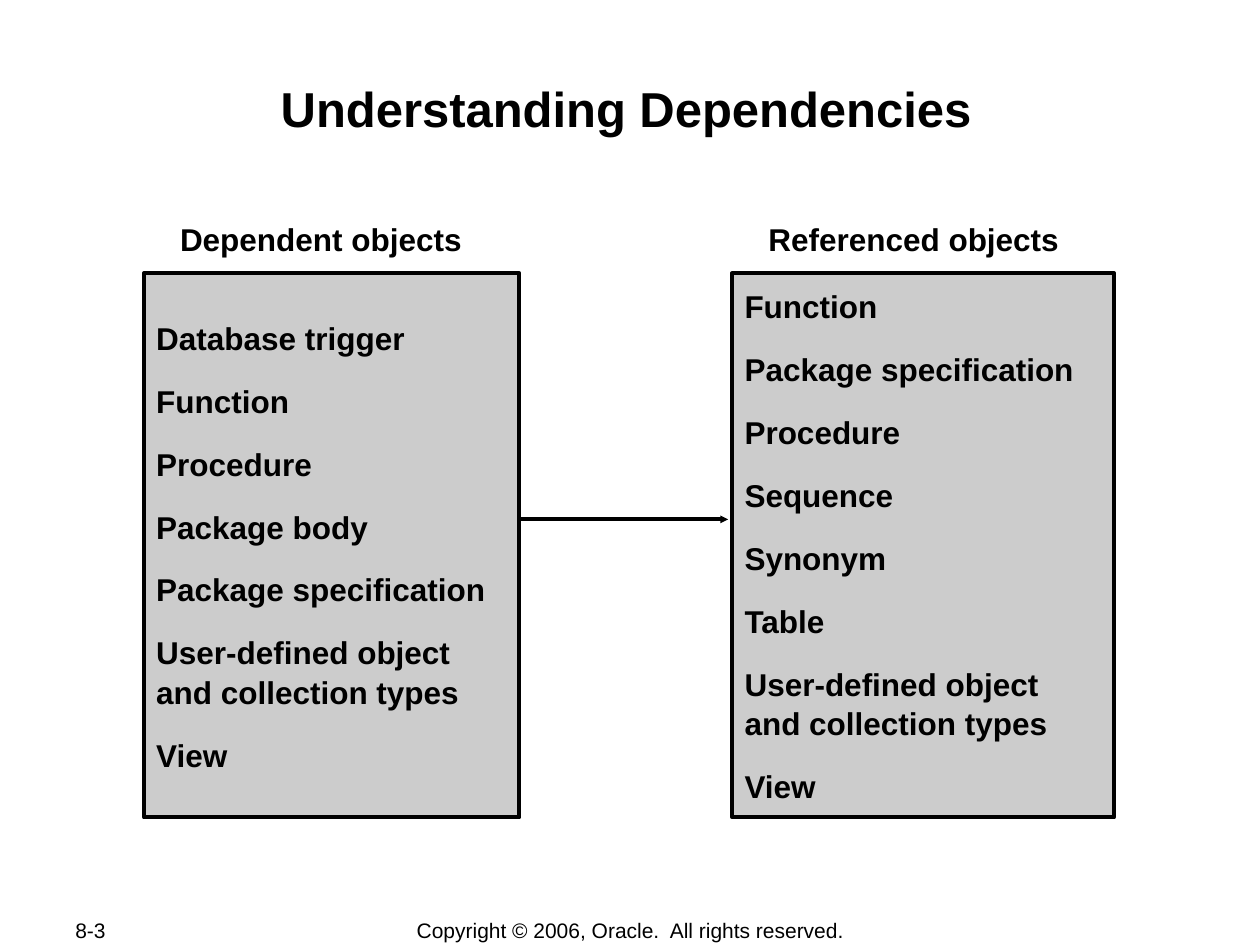
from lxml.etree import SubElement
from pptx import Presentation
from pptx.dml.color import RGBColor
from pptx.enum.shapes import MSO_CONNECTOR, MSO_SHAPE
from pptx.enum.text import MSO_ANCHOR, PP_ALIGN
from pptx.oxml.ns import qn
from pptx.util import Cm, Pt

BLACK, GREY = "000000", "CCCCCC"
PANEL_TOP, PANEL_HEIGHT = 5.51, 10.97
DEPENDENT = ["Database trigger", "Function", "Procedure", "Package body",
             "Package specification",
             "User-defined object\vand collection types", "View"]
REFERENCED = ["Function", "Package specification", "Procedure", "Sequence",
              "Synonym", "Table",
              "User-defined object\vand collection types", "View"]


def rgb(value):
    return RGBColor.from_string(value)


def write(sp, lines, size, bold=True, align=PP_ALIGN.LEFT,
          anchor=MSO_ANCHOR.TOP, gap=0, spacing=1.0):
    tf = sp.text_frame
    tf.word_wrap = True
    tf.vertical_anchor = anchor
    for i, line in enumerate(lines):
        p = tf.add_paragraph() if i else tf.paragraphs[0]
        p.text = line
        p.alignment = align
        p.line_spacing = spacing
        p.space_before = Pt(gap if i else 0)
        p.font.name = "Arial"
        p.font.size = Pt(size)
        p.font.bold = bold
        p.font.color.rgb = rgb(BLACK)


def add_text(s, box, text, size, **style):
    sp = s.shapes.add_textbox(*map(Cm, box))
    write(sp, [text], size, **style)


def add_panel(s, box, heading, items):
    """Draw a filled list box with its heading just above it."""
    left, top, width, height = box
    indent = 0.48
    add_text(s, (left + indent, top - 1.19, width - indent, 1.02), heading, 18)
    sp = s.shapes.add_shape(MSO_SHAPE.RECTANGLE, *map(Cm, box))
    sp.shadow.inherit = False
    sp.fill.solid()
    sp.fill.fore_color.rgb = rgb(GREY)
    sp.line.color.rgb = rgb(BLACK)
    sp.line.width = Pt(2.25)
    write(sp, items, 18, anchor=MSO_ANCHOR.MIDDLE, gap=13.5, spacing=1.04)


def add_arrow(s, x1, x2, y):
    line = s.shapes.add_connector(MSO_CONNECTOR.STRAIGHT,
                                  Cm(x1), Cm(y), Cm(x2), Cm(y))
    line.line.color.rgb = rgb(BLACK)
    line.line.width = Pt(2.25)
    SubElement(line.line._get_or_add_ln(), qn("a:tailEnd"),
               type="triangle", w="sm", len="sm")
    SubElement(line._element.spPr, qn("a:effectLst"))


def add_footer(s, top, height):
    style = dict(bold=False, anchor=MSO_ANCHOR.MIDDLE)
    add_text(s, (1.27, top, 2.69, height), "8-3", 12, **style)
    add_text(s, (7.01, top, 11.4, height),
             "Copyright © 2006, Oracle.  All rights reserved.", 12,
             align=PP_ALIGN.CENTER, **style)


def main():
    prs = Presentation()
    prs.slide_width, prs.slide_height = Cm(25.4), Cm(19.05)
    s = prs.slides.add_slide(prs.slide_layouts[6])
    add_text(s, (2.46, 1.45, 20.32, 2.44), "Understanding Dependencies", 28,
             align=PP_ALIGN.CENTER)
    add_panel(s, (2.9, PANEL_TOP, 7.57, PANEL_HEIGHT),
              "Dependent objects", DEPENDENT)
    add_panel(s, (14.76, PANEL_TOP, 7.7, PANEL_HEIGHT),
              "Referenced objects", REFERENCED)
    add_arrow(s, 10.49, 14.68, 10.47)
    add_footer(s, 18.49, 0.52)
    prs.save("out.pptx")


if __name__ == "__main__":
    main()
